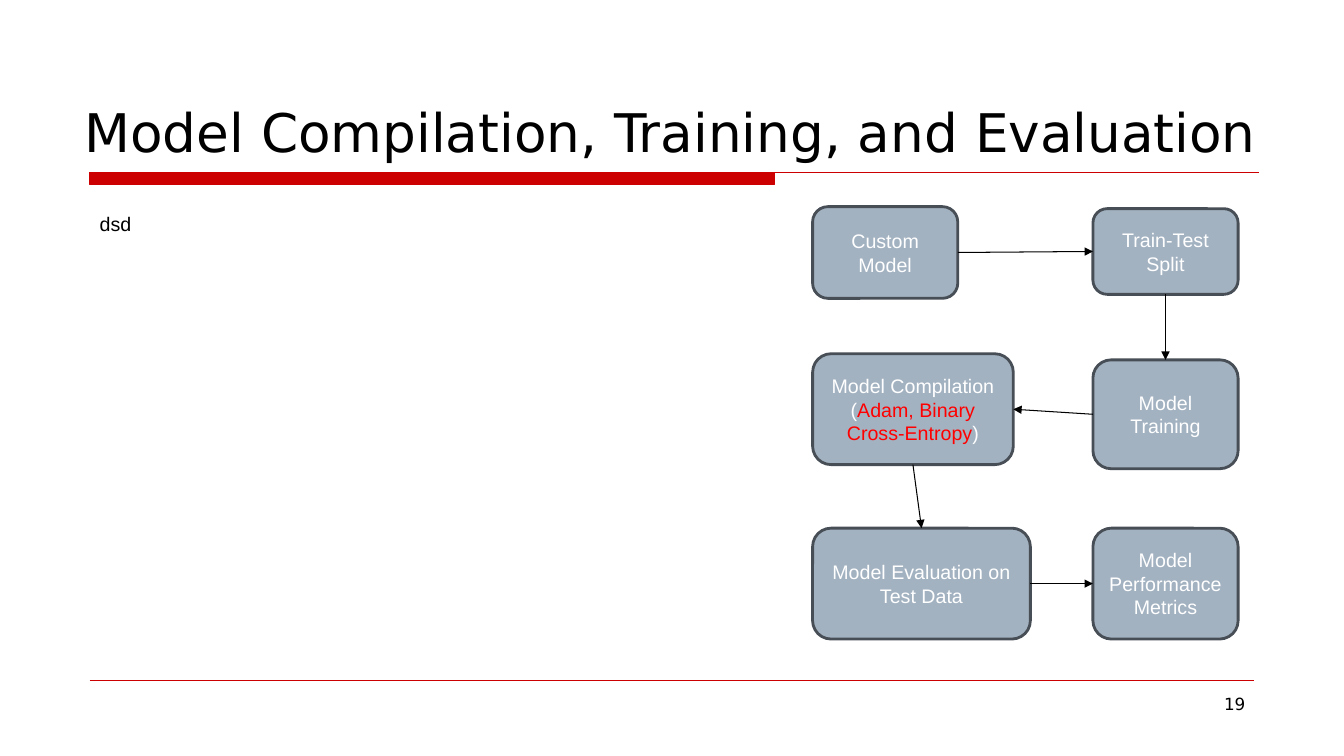
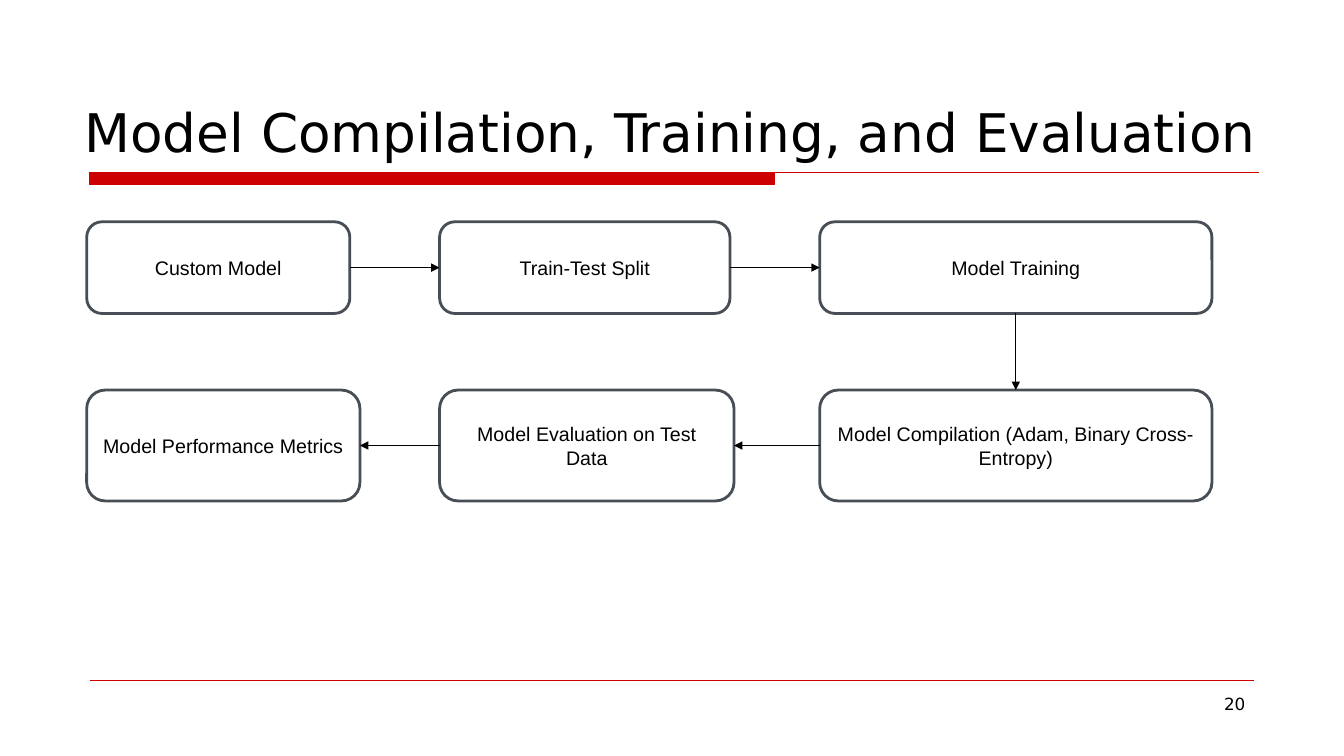
"""Build two slides that show a model training workflow as flowcharts."""
from pptx import Presentation
from pptx import util as u
from pptx.dml.color import RGBColor
from pptx.enum import shapes, text
from pptx.oxml.ns import qn
from lxml import etree

COLORS = {"red": "CC0000", "accent": "FF0000", "box": "A3B2C1",
          "edge": "474E55", "white": "FFFFFF", "black": "000000"}
TITLE = "Model Compilation, Training, and Evaluation"
FONTS = {
    "title": {"name": "DejaVu Sans", "size": u.Pt(38)},
    "number": {"name": "DejaVu Sans", "size": u.Pt(12)},
    "body": {"name": "Arial", "size": u.Pt(14)},
}
TOP, LEFT, BOTTOM, RIGHT = range(4)


def rgb(color):
    return RGBColor.from_string(COLORS[color])


def set_attrs(obj, values):
    for name, value in values.items():
        setattr(obj, name, value)


def write(sp, runs, font, align=text.PP_ALIGN.LEFT, anchor=text.MSO_ANCHOR.TOP):
    tf = sp.text_frame
    set_attrs(tf, {"word_wrap": True, "vertical_anchor": anchor})
    p = tf.paragraphs[0]
    p.alignment = align
    for words, color in runs:
        r = p.add_run()
        r.text = words
        set_attrs(r.font, FONTS[font])
        r.font.color.rgb = rgb(color)


def add_text(s, box, words, font, **layout):
    sp = s.shapes.add_textbox(*map(u.Inches, box))
    write(sp, [(words, "black")], font, **layout)


def add_block(s, kind, box, fill, edge, width):
    sp = s.shapes.add_shape(kind, *map(u.Inches, box))
    sp.shadow.inherit = False
    sp.fill.solid()
    sp.fill.fore_color.rgb = rgb(fill)
    sp.line.color.rgb = rgb(edge)
    sp.line.width = u.Pt(width)
    return sp


def add_line(s, start, end, color):
    cx = s.shapes.add_connector(shapes.MSO_CONNECTOR.STRAIGHT,
                                *map(u.Inches, start + end))
    cx.line.color.rgb = rgb(color)
    cx.line.width = u.Pt(0.75)
    etree.SubElement(cx._element.spPr, qn("a:effectLst"))
    return cx


def add_arrow(s, source, source_side, target, target_side):
    cx = add_line(s, (0, 0), (0, 0), "black")
    cx.begin_connect(source, source_side)
    cx.end_connect(target, target_side)
    etree.SubElement(cx.line._get_or_add_ln(), qn("a:tailEnd"), type="triangle")


def add_flow(s, steps, sides, fill, color):
    boxes = []
    for box, runs in steps:
        sp = add_block(s, shapes.MSO_SHAPE.ROUNDED_RECTANGLE, box, fill, "edge", 2)
        if isinstance(runs, str):
            runs = [(runs, color)]
        write(sp, runs, "body", text.PP_ALIGN.CENTER, text.MSO_ANCHOR.MIDDLE)
        boxes.append(sp)
    for source, target, (out, into) in zip(boxes, boxes[1:], sides):
        add_arrow(s, source, out, target, into)


def add_slide(prs, number):
    s = prs.slides.add_slide(prs.slide_layouts[6])
    add_block(s, shapes.MSO_SHAPE.RECTANGLE, (0.89, 1.71, 6.79, 0.12),
              "red", "red", 0.75)
    add_line(s, (0.89, 1.71), (12.49, 1.71), "red")
    add_line(s, (0.89, 6.75), (12.44, 6.75), "red")
    add_text(s, (0.74, 0.34, 12.59, 1.33), TITLE, "title",
             anchor=text.MSO_ANCHOR.BOTTOM)
    add_text(s, (9.56, 6.83, 2.89, 0.52), str(number), "number",
             align=text.PP_ALIGN.RIGHT)
    return s


def build_compact_flow(prs):
    s = add_slide(prs, 19)
    add_text(s, (0.89, 2.05, 6.52, 0.34), "dsd", "body")
    left, right, narrow = 8.06, 10.84, 1.44
    compilation = [("Model Compilation (", "white"),
                   ("Adam, Binary Cross-Entropy", "accent"), (")", "white")]
    steps = [
        ((left, 2.05, narrow, 0.91), "Custom Model"),
        ((right, 2.07, narrow, 0.85), "Train-Test Split"),
        ((right, 3.57, narrow, 1.08), "Model Training"),
        ((left, 3.51, 1.99, 1.1), compilation),
        ((left, 5.24, 2.16, 1.1), "Model Evaluation on Test Data"),
        ((right, 5.24, narrow, 1.1), "Model Performance Metrics"),
    ]
    sides = [(RIGHT, LEFT), (BOTTOM, TOP), (LEFT, RIGHT),
             (BOTTOM, TOP), (RIGHT, LEFT)]
    add_flow(s, steps, sides, "box", "white")


def build_wide_flow(prs):
    s = add_slide(prs, 20)
    columns = (0.86, 4.36, 8.13)
    rows = [
        (2.2, 0.91, (2.61, 2.88, 3.89),
         ("Custom Model", "Train-Test Split", "Model Training")),
        (3.87, 1.1, (2.71, 2.92, 3.89),
         ("Model Performance Metrics", "Model Evaluation on Test Data",
          "Model Compilation (Adam, Binary Cross-Entropy)")),
    ]
    upper, lower = [
        [((x, y, w, h), words) for x, w, words in zip(columns, widths, labels)]
        for y, h, widths, labels in rows
    ]
    sides = [(RIGHT, LEFT)] * 2 + [(BOTTOM, TOP)] + [(LEFT, RIGHT)] * 2
    add_flow(s, upper + lower[::-1], sides, "white", "black")


def main():
    prs = Presentation()
    set_attrs(prs, {"slide_width": u.Inches(13.33), "slide_height": u.Inches(7.5)})
    build_compact_flow(prs)
    build_wide_flow(prs)
    prs.save("out.pptx")


if __name__ == "__main__":
    main()
